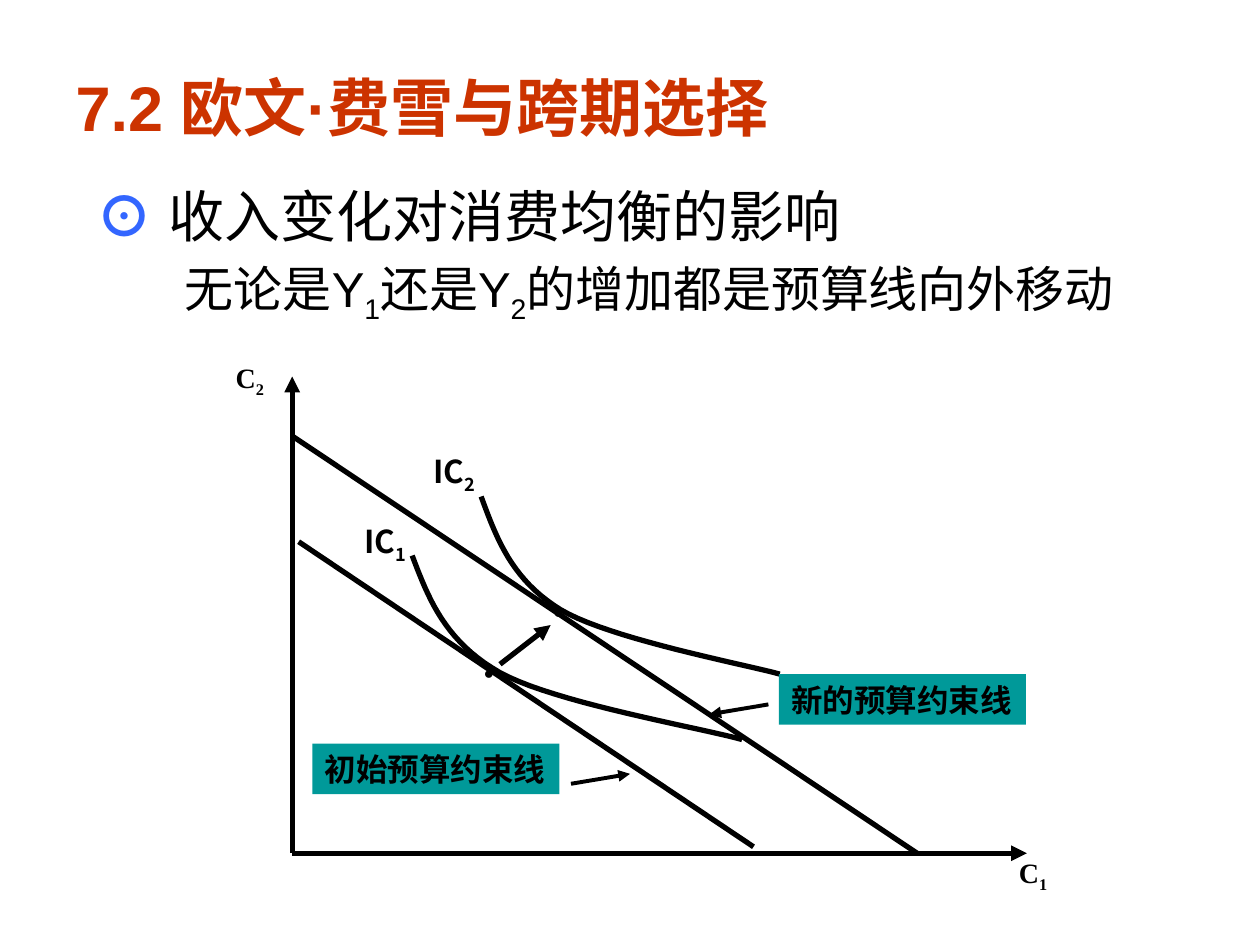
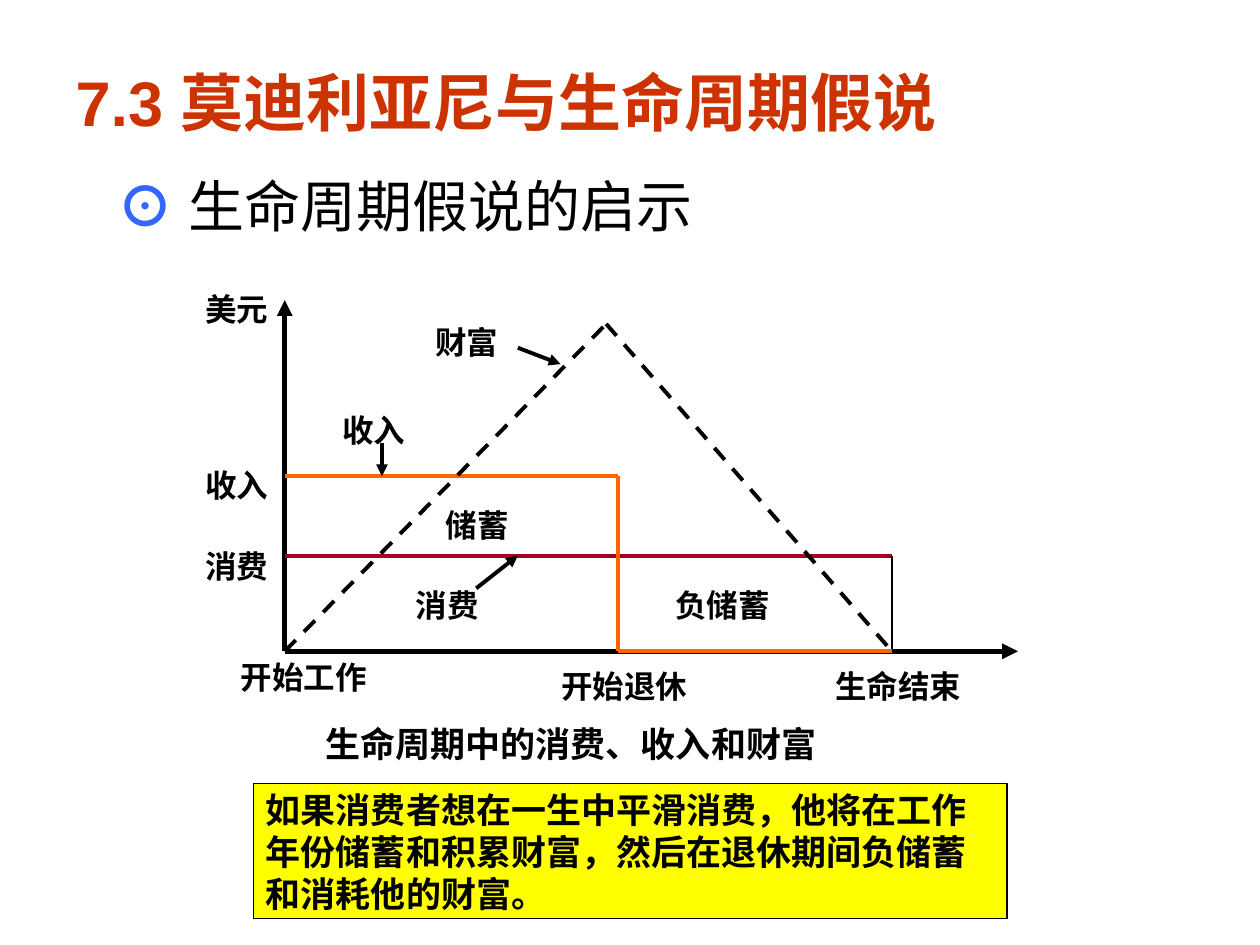
from dataclasses import dataclass

from pptx import Presentation
from pptx import util as u
from pptx.dml.color import RGBColor
from pptx.enum import dml, shapes, text
from pptx.oxml.ns import qn

# Shared colours and fonts
BLACK = RGBColor(0x00, 0x00, 0x00)
RED = RGBColor(0xCC, 0x33, 0x00)
BLUE = RGBColor(0x33, 0x66, 0xFF)
TEAL = RGBColor(0x00, 0x99, 0x99)
ORANGE = RGBColor(0xFF, 0x66, 0x00)
CRIMSON = RGBColor(0xA5, 0x00, 0x21)
YELLOW = RGBColor(0xFF, 0xFF, 0x00)
SANS, SERIF, CJK = "Arial", "Times New Roman", "Noto Sans CJK SC"

Point = tuple[float, float]


@dataclass(frozen=True)
class Span:
    """A piece of text in one format."""
    words: str
    size: float = 18
    color: RGBColor = BLACK
    bold: bool = True
    font: str = SANS
    subscript: bool = False


@dataclass(frozen=True)
class Label:
    """A text box, all lengths in centimetres."""
    left: float
    top: float
    width: float
    height: float
    lines: tuple[tuple[Span, ...], ...]
    fill: RGBColor | None = None
    border: RGBColor | None = None
    anchor: text.MSO_ANCHOR = text.MSO_ANCHOR.TOP
    align: text.PP_ALIGN = text.PP_ALIGN.LEFT
    wrap: bool = False


@dataclass(frozen=True)
class Line:
    """A straight line, with an arrowhead at its end if asked for."""
    start: Point
    end: Point
    width: float = 2.25
    color: RGBColor = BLACK
    arrow: bool = False
    dashed: bool = False


def add_span(para, span: Span) -> None:
    run = para.add_run()
    run.text = span.words
    values = {"size": u.Pt(span.size), "bold": span.bold, "name": span.font}
    for name, value in values.items():
        setattr(run.font, name, value)
    run.font.color.rgb = span.color
    properties = run.font._element
    east_asian = properties.makeelement(qn("a:ea"), {"typeface": span.font})
    properties.find(qn("a:latin")).addnext(east_asian)
    if span.subscript:
        properties.set("baseline", "-25000")


def add_label(page, label: Label):
    place = [u.Cm(v) for v in (label.left, label.top, label.width, label.height)]
    if label.fill is None:
        box = page.shapes.add_textbox(*place)
    else:
        box = page.shapes.add_shape(shapes.MSO_SHAPE.RECTANGLE, *place)
        box.shadow.inherit = False
        box.fill.solid()
        box.fill.fore_color.rgb = label.fill
        if label.border is None:
            box.line.fill.background()
        else:
            box.line.color.rgb = label.border
            box.line.width = u.Pt(0.75)
    frame = box.text_frame
    values = {"word_wrap": label.wrap, "vertical_anchor": label.anchor,
              "margin_left": u.Cm(0.25), "margin_right": u.Cm(0.25),
              "margin_top": u.Cm(0.13), "margin_bottom": u.Cm(0.13)}
    for name, value in values.items():
        setattr(frame, name, value)
    for index, spans in enumerate(label.lines):
        para = frame.add_paragraph() if index else frame.paragraphs[0]
        para.alignment = label.align
        for span in spans:
            add_span(para, span)
    return box


def add_line(page, line: Line) -> None:
    connector = page.shapes.add_connector(
        shapes.MSO_CONNECTOR.STRAIGHT, *[u.Cm(v) for v in line.start + line.end])
    connector.line.color.rgb = line.color
    connector.line.width = u.Pt(line.width)
    if line.dashed:
        connector.line.dash_style = dml.MSO_LINE.DASH
    outline = connector.line._get_or_add_ln()
    if line.arrow:
        outline.append(outline.makeelement(qn("a:tailEnd"), {"type": "triangle"}))
    outline.addnext(outline.makeelement(qn("a:effectLst"), {}))


def add_curve(page, points: list[Point], steps: int = 20) -> None:
    """Draw joined cubic curves: a start, then three points for each curve."""
    trace = []
    for first in range(0, len(points) - 1, 3):
        a, b, c, d = points[first:first + 4]
        for step in range(1, steps + 1):
            t = step / steps
            s = 1 - t
            trace.append(tuple(
                u.Cm(s**3 * a[i] + 3 * s * s * t * b[i] + 3 * s * t * t * c[i] + t**3 * d[i])
                for i in (0, 1)))
    builder = page.shapes.build_freeform(u.Cm(points[0][0]), u.Cm(points[0][1]))
    builder.add_line_segments(trace, close=False)
    curve = builder.convert_to_shape()
    curve.shadow.inherit = False
    curve.fill.background()
    curve.line.color.rgb = BLACK
    curve.line.width = u.Pt(3)


def add_page(deck, title: str, height: float):
    page = deck.slides.add_slide(deck.slide_layouts[5])
    holder = page.shapes.title
    place = {"left": 1.27, "top": 0.76, "width": 22.86, "height": height}
    for name, value in place.items():
        setattr(holder, name, u.Cm(value))
    frame = holder.text_frame
    frame.auto_size = text.MSO_AUTO_SIZE.NONE
    frame.vertical_anchor = text.MSO_ANCHOR.MIDDLE
    frame.paragraphs[0].alignment = text.PP_ALIGN.LEFT
    add_span(frame.paragraphs[0], Span(title, 36, RED))
    return page


def add_axes(page, origin: Point, right: float, top: float) -> None:
    for end in ((right, origin[1]), (origin[0], top)):
        add_line(page, Line(origin, end, 3, arrow=True))


def heading(words: str) -> tuple[Span, ...]:
    return Span("⊙ ", 32, BLUE), Span(words, 32, bold=False)


def indexed(letters: str, number: str, size: float, font: str) -> tuple[tuple[Span, ...], ...]:
    return ((Span(letters, size, font=font), Span(number, size, font=font, subscript=True)),)


def draw_income_change(deck) -> None:
    page = add_page(deck, "7.2 欧文·费雪与跨期选择", 2.77)

    # Heading and statement
    pieces = ("无论是Y", "1", "还是Y", "2", "的增加都是预算线向外移动")
    statement = tuple(Span(piece, 28, bold=False, subscript=piece.isdigit())
                      for piece in pieces)
    body = add_label(page, Label(1.7, 3.53, 22.43, 13.49,
                                 (heading("收入变化对消费均衡的影响"), statement), wrap=True))
    first, second = body.text_frame.paragraphs
    first.space_before, second.space_before = u.Pt(6.4), u.Pt(5.6)
    second._p.get_or_add_pPr().set("marL", str(u.Cm(1.78)))

    # Axes and their names
    origin = (5.89, 17.2)
    add_axes(page, origin, 20.7, 7.59)
    add_label(page, Label(20.29, 17.12, 1.4, 0.99, indexed("C", "1", 16, SERIF), wrap=True))
    add_label(page, Label(4.5, 7.14, 1.19, 1.52, indexed("C", "2", 16, SERIF), wrap=True))

    # Indifference curves and budget lines
    add_curve(page, [(9.7, 10.01), (10.01, 10.85), (10.31, 11.68), (11.3, 12.29),
                     (12.29, 12.88), (14.99, 13.39), (15.72, 13.59)])
    add_curve(page, [(8.31, 11.2), (8.64, 12.07), (8.97, 12.93), (10.08, 13.56),
                     (11.18, 14.17), (14.15, 14.68), (14.96, 14.91)])
    add_line(page, Line((6.02, 10.92), (15.19, 17.07), 3))
    add_line(page, Line((5.89, 8.79), (18.49, 17.2), 3))
    add_line(page, Line((10.08, 13.39), (11.1, 12.6), 3, arrow=True))

    # Points of equilibrium and curve names
    for left, top in ((9.5, 13.21), (10.9, 11.99)):
        add_label(page, Label(left, top, 0.86, 0.69, ((Span("●", 10, bold=False),),)))
    for number, left, top in (("1", 7.09, 10.39), ("2", 8.48, 8.99)):
        add_label(page, Label(left, top, 1.37, 1.02, indexed("IC", number, 18, CJK)))

    # Budget line names with pointers
    for words, left, top, start, end in (
            ("初始预算约束线", 6.3, 14.99, (11.51, 15.8), (12.7, 15.6)),
            ("新的预算约束线", 15.7, 13.59, (15.49, 14.2), (14.3, 14.4))):
        add_label(page, Label(left, top, 4.98, 1.02, ((Span(words),),), TEAL))
        add_line(page, Line(start, end, arrow=True))


def draw_life_cycle(deck) -> None:
    page = add_page(deck, "7.3 莫迪利亚尼与生命周期假说", 2.57)
    add_label(page, Label(2.11, 3.33, 12.24, 1.63, (heading("生命周期假说的启示"),)))

    # Axes, income, consumption and wealth
    work, retire, death = 5.74, 12.45, 17.98
    income, consumption, base = 9.6, 11.2, 13.13
    peak = (12.22, 6.53)
    add_axes(page, (work, base), 20.52, 6.05)
    for line in (
            Line((work, income), (retire, income), color=ORANGE),
            Line((work, consumption), (death, consumption), color=CRIMSON),
            Line((retire, income), (retire, base), color=ORANGE),
            Line((death, consumption), (death, base), 1.5),
            Line((work, base), peak, dashed=True),
            Line(peak, (death, base), dashed=True),
            Line((retire, base), (death, base), color=ORANGE),
            Line((10.44, 7.01), (11.3, 7.34), arrow=True),
            Line((7.7, 8.94), (7.7, income), arrow=True),
            Line((9.6, 11.86), (10.44, consumption), arrow=True)):
        add_line(page, line)

    # Names in the diagram, as wide as their characters need
    for words, left, top in (
            ("美元", 3.89, 5.72), ("收入", 3.89, 9.27), ("消费", 3.89, 10.9),
            ("财富", 8.53, 6.38), ("收入", 6.65, 8.15), ("消费", 8.13, 11.68),
            ("储蓄", 8.74, 10.08), ("负储蓄", 13.36, 11.68),
            ("开始工作", 4.6, 13.13), ("开始退休", 11.07, 13.31),
            ("生命结束", 16.59, 13.31)):
        width = 0.51 + 0.64 * len(words)
        add_label(page, Label(left, top, width, 0.91, ((Span(words),),)))

    # Caption and conclusion
    add_label(page, Label(5.59, 14.27, 11.84, 1.45,
                          ((Span("生命周期中的消费、收入和财富", 20),),),
                          anchor=text.MSO_ANCHOR.MIDDLE, align=text.PP_ALIGN.CENTER))
    conclusion = ("如果消费者想在一生中平滑消费，他将在工作",
                  "年份储蓄和积累财富，然后在退休期间负储蓄",
                  "和消耗他的财富。")
    add_label(page, Label(5.11, 15.8, 15.19, 2.72,
                          tuple((Span(words, 20),) for words in conclusion),
                          YELLOW, BLACK, text.MSO_ANCHOR.MIDDLE))


deck = Presentation()
deck.slide_width, deck.slide_height = u.Cm(25.4), u.Cm(19.05)
draw_income_change(deck)
draw_life_cycle(deck)
deck.save("out.pptx")
